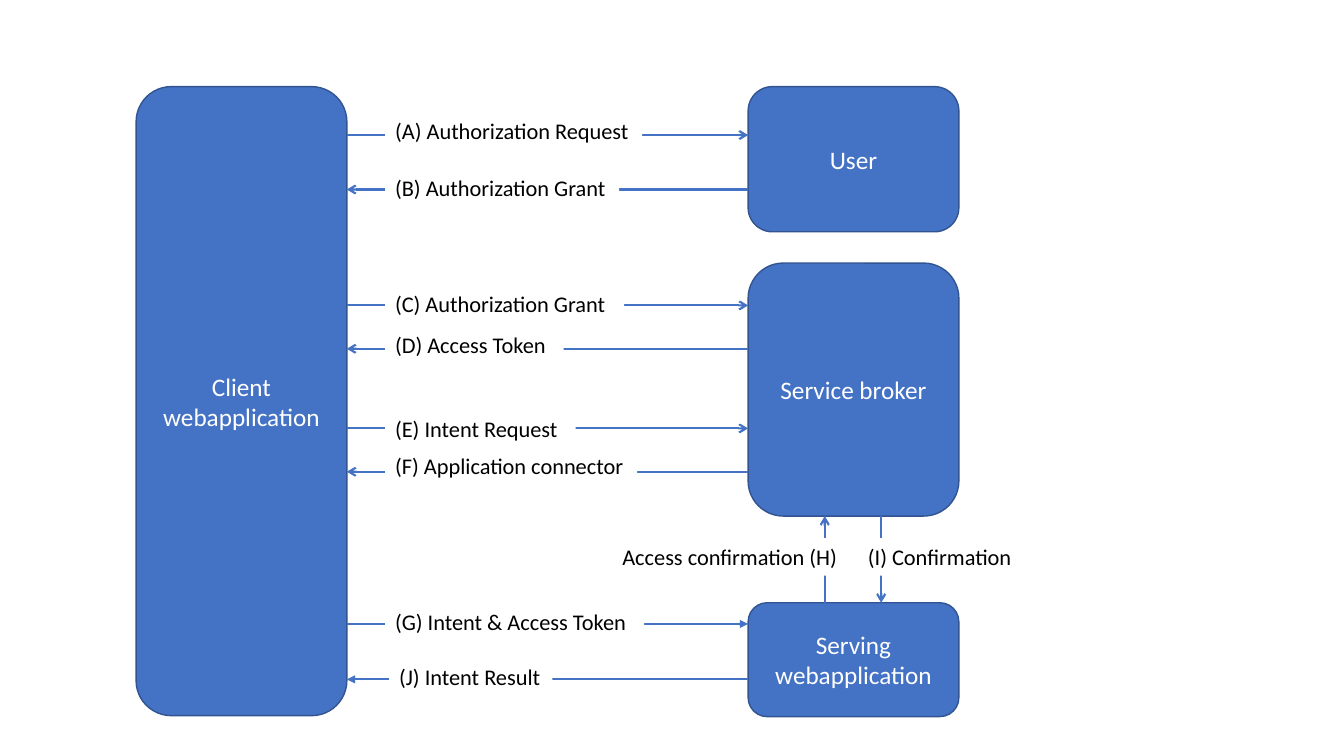
from typing import NamedTuple

from lxml.etree import SubElement
from pptx import Presentation
from pptx.dml.color import RGBColor
from pptx.enum.shapes import MSO_CONNECTOR as Connector, MSO_SHAPE as Shape
from pptx.enum.text import MSO_ANCHOR as Anchor, MSO_AUTO_SIZE as AutoSize, PP_ALIGN as Align
from pptx.oxml.ns import qn
from pptx.util import Inches, Pt

BLUE = RGBColor(0x44, 0x72, 0xC4)
NAVY = RGBColor(0x32, 0x54, 0x91)
WHITE = RGBColor(0xFF, 0xFF, 0xFF)
BLACK = RGBColor(0x00, 0x00, 0x00)
FONT = "Calibri"
COLUMN = ROW = Inches(0.1)
LABEL_ROWS = 3.7


class Box(NamedTuple):
    """A region measured in grid columns and rows."""
    left: float
    top: float
    width: float
    height: float

    @property
    def right(self):
        """Column of the right edge."""
        return self.left + self.width

    @property
    def bottom(self):
        """Row of the bottom edge."""
        return self.top + self.height

    def emu(self):
        """Return left, top, width and height as slide lengths."""
        return (round(self.left * COLUMN), round(self.top * ROW),
                round(self.width * COLUMN), round(self.height * ROW))


CLIENT = Box(13.5, 8.6, 20.9, 62.4)
USER = Box(74.2, 8.6, 20.9, 14.4)
BROKER = Box(74.2, 26.1, 20.9, 25.1)
SERVING = Box(74.2, 59.8, 20.9, 11.3)

USER_MESSAGES = [
    ("(A) Authorization Request", 4.8, 2.5, 3.8, 25.5),
    ("(B) Authorization Grant", 10.2, 8.2, 3.8, 23.2),
]
BROKER_MESSAGES = [
    ("(C) Authorization Grant ", 4.2, 2.2, 3.8, 23.7),
    ("(D) Access Token ", 8.5, 6.3, 3.8, 17.7),
    ("(E) Intent Request ", 16.4, 14.6, 3.8, 18.9),
    ("(F) Application connector", 20.7, 18.3, 3.8, 25),
]
SERVING_MESSAGES = [
    ("(G) Intent & Access Token", 2.1, 0, 3.8, 25.7),
    ("(J) Intent Result", 7.6, 5.5, 4.2, 16.2),
]


def write(shape, text, size, color, align):
    """Put formatted text into a shape."""
    shape.text_frame.text = text
    for paragraph in shape.text_frame.paragraphs:
        paragraph.alignment = align
        for run in paragraph.runs:
            run.font.name, run.font.size = FONT, Pt(size)
            run.font.color.rgb = color


def add_party(slide, box, name):
    """Draw one participant as a rounded block."""
    party = slide.shapes.add_shape(Shape.ROUNDED_RECTANGLE, *box.emu())
    party.shadow.inherit = False
    party.fill.solid()
    party.fill.fore_color.rgb = BLUE
    party.line.color.rgb = NAVY
    party.line.width = Pt(1)
    party.text_frame.word_wrap = True
    party.text_frame.vertical_anchor = Anchor.MIDDLE
    write(party, name, 18, WHITE, Align.CENTER)


def add_arrow(slide, start, end, head):
    """Draw an arrow between two grid points."""
    ends = [round(place * step) for point in (start, end)
            for place, step in zip(point, (COLUMN, ROW))]
    arrow = slide.shapes.add_connector(Connector.STRAIGHT, *ends)
    arrow.line.color.rgb = BLUE
    arrow.line.width = Pt(1.5)
    SubElement(arrow.line._get_or_add_ln(), qn("a:tailEnd"), type=head)
    SubElement(arrow._element.spPr, qn("a:effectLst"))


def add_label(slide, box, text, align=Align.LEFT):
    """Write a message name on a white patch over its arrow."""
    label = slide.shapes.add_textbox(*box.emu())
    label.fill.solid()
    label.fill.fore_color.rgb = WHITE
    label.text_frame.word_wrap = False
    label.text_frame.auto_size = AutoSize.SHAPE_TO_FIT_TEXT
    write(label, text, 16, BLACK, align)


def add_exchange(slide, box, messages, head="arrow"):
    """Fill a horizontal channel with alternating requests and replies."""
    for index, (text, lane, label_top, indent, width) in enumerate(messages):
        row = box.top + lane
        ends = [(box.left, row), (box.right, row)]
        start, end = reversed(ends) if index % 2 else ends
        add_arrow(slide, start, end, head)
        add_label(slide, Box(box.left + indent, box.top + label_top, width, LABEL_ROWS), text)


def add_confirmation(slide, box):
    """Fill the vertical channel between the broker and the serving application."""
    down, up = box.left + 13.2, box.left + 7.6
    label_top = box.top + 2.2
    add_arrow(slide, (down, box.top), (down, box.bottom), "arrow")
    add_label(slide, Box(down - 2.3, label_top, 16.4, LABEL_ROWS), "(I) Confirmation")
    add_arrow(slide, (up, box.bottom), (up, box.top), "arrow")
    add_label(slide, Box(up - 21.4, label_top, 23.6, LABEL_ROWS),
              "Access confirmation (H)", Align.RIGHT)


def channel_to(party):
    """Return the gap between the client and another participant."""
    return Box(CLIENT.right, party.top, party.left - CLIENT.right, party.height)


def build_flow(slide):
    """Lay out the participants and the messages between them."""
    for box, name in [(CLIENT, "Client webapplication"), (USER, "User"),
                      (BROKER, "Service broker"), (SERVING, "Serving webapplication")]:
        add_party(slide, box, name)
    add_exchange(slide, channel_to(USER), USER_MESSAGES)
    add_exchange(slide, channel_to(BROKER), BROKER_MESSAGES)
    add_confirmation(slide, Box(BROKER.left, BROKER.bottom, BROKER.width,
                                SERVING.top - BROKER.bottom))
    add_exchange(slide, channel_to(SERVING), SERVING_MESSAGES, "triangle")


deck = Presentation()
deck.slide_width, deck.slide_height = Inches(13.33), Inches(7.5)
build_flow(deck.slides.add_slide(deck.slide_layouts[6]))
deck.save("out.pptx")
